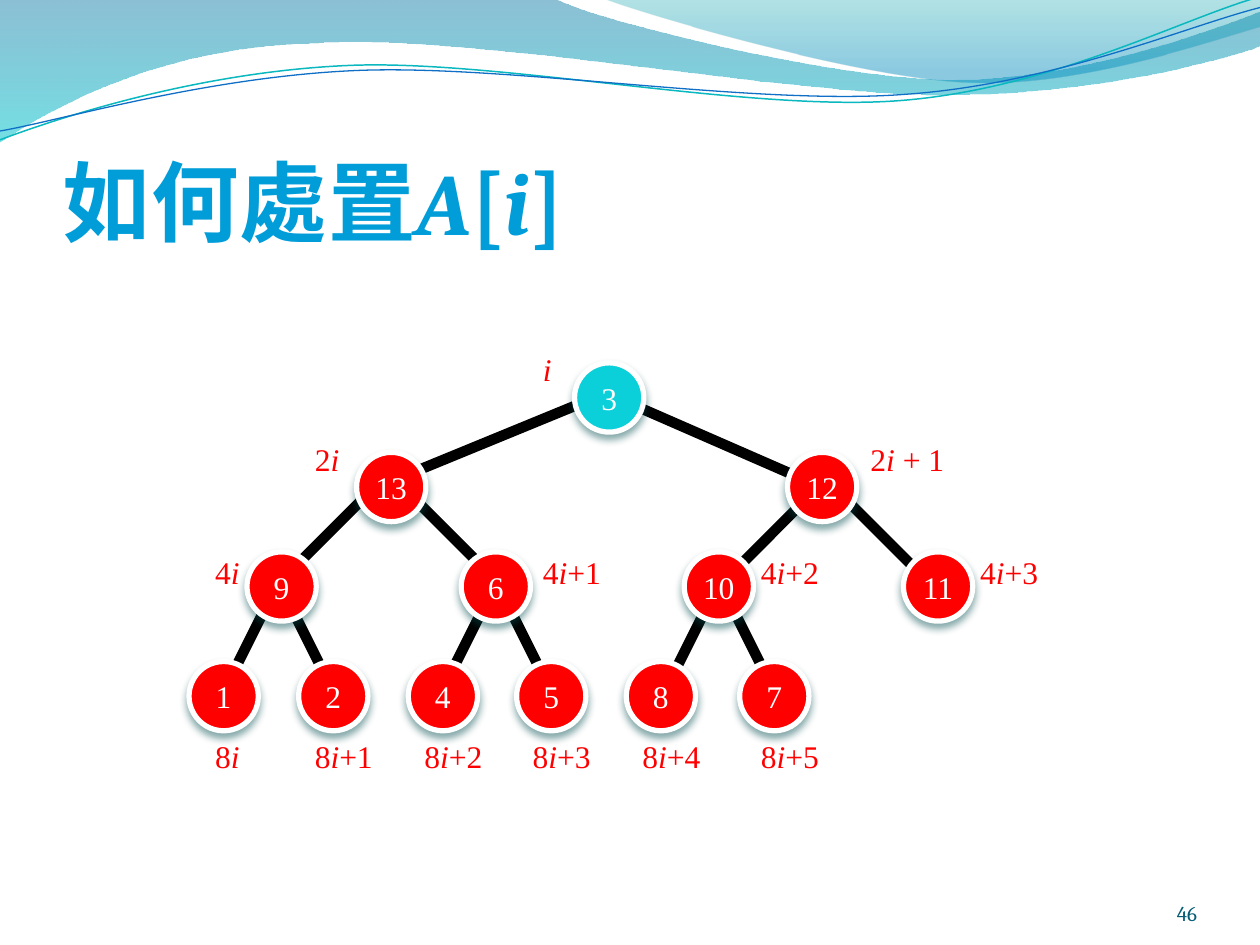
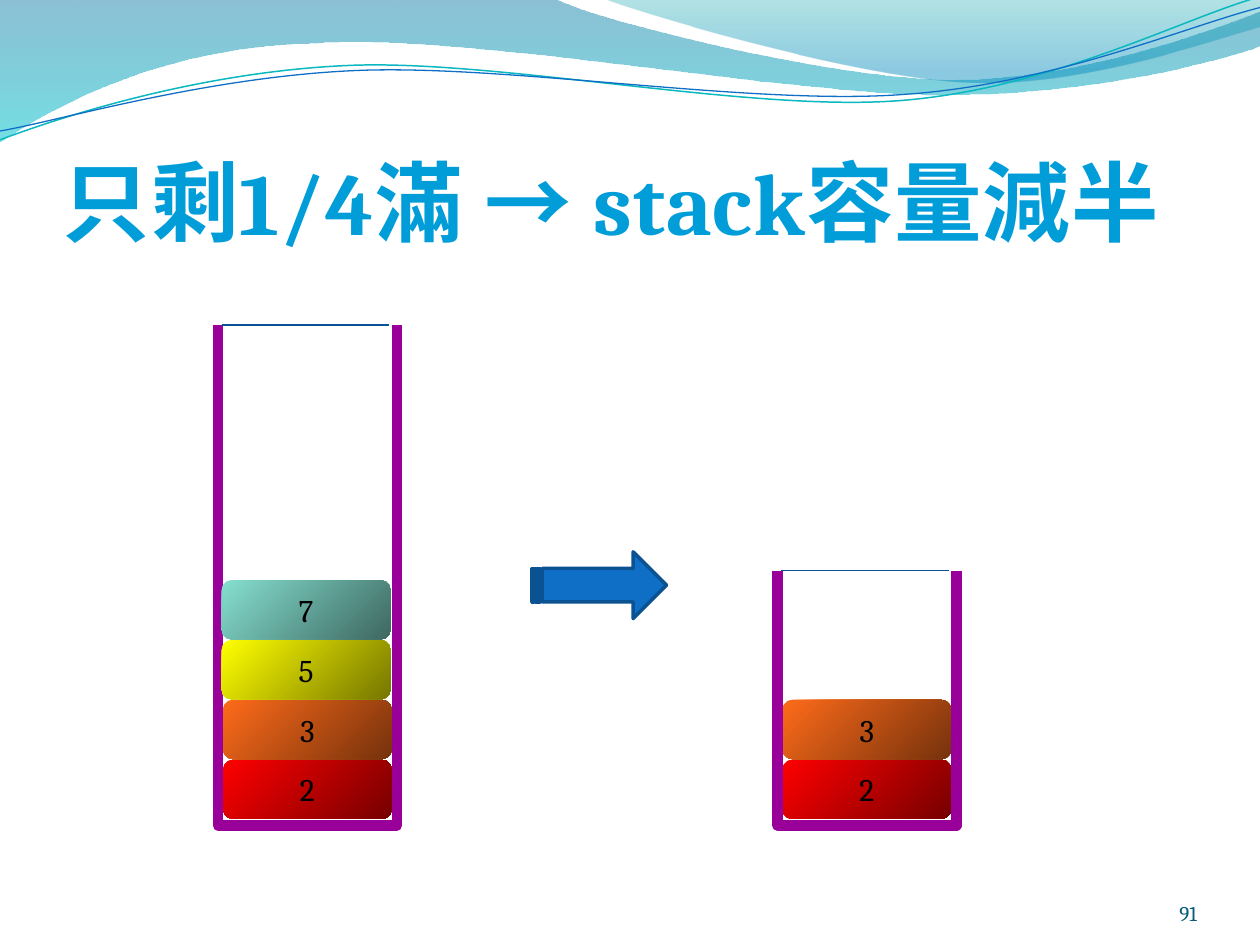
import pptx
import pptx.util
import pptx.oxml
import pptx.oxml.ns
from pptx.dml.color import RGBColor
from pptx.enum.shapes import MSO_CONNECTOR, MSO_SHAPE
from pptx.enum.text import MSO_ANCHOR, MSO_AUTO_SIZE, PP_ALIGN
from pptx.oxml.ns import qn
from pptx.util import Inches

# Shared look
BODY_FONT = "Cambria"
TREE_FONT = "Times New Roman"
TITLE_BLUE = RGBColor(0x00, 0x9D, 0xD9)
FOOTER_TEAL = RGBColor(0x04, 0x5D, 0x75)
WAVE_TEAL = RGBColor(0x0A, 0xB8, 0xBF)
BLUE = RGBColor(0x0F, 0x6F, 0xC6)
ARROW_EDGE = RGBColor(0x0B, 0x52, 0x92)
RIM_BLUE = RGBColor(0x09, 0x52, 0x95)
SHADOW_TEAL = RGBColor(0x02, 0x4B, 0x4E)
BLACK = RGBColor(0, 0, 0)
WHITE = RGBColor(0xFF, 0xFF, 0xFF)
RED = RGBColor(0xFF, 0, 0)
CYAN = RGBColor(0x0B, 0xD0, 0xD9)
PURPLE = RGBColor(0x99, 0x00, 0x99)

# Gradient stops: position, colour, opacity in percent
BAND_STOPS = [(0, RGBColor(0x00, 0x74, 0xA1), 45), (1, RGBColor(0x00, 0xC6, 0xCF), 55)]
CORNER_STOPS = [(0, RGBColor(0x00, 0xA1, 0xA9), 30), (0.8, RGBColor(0x00, 0x8B, 0xBF), 45)]

# Outlines: a start point, then line ends (2 numbers) or Bezier curves (6 numbers)
BAND = [(0, 0), (4.4, -0.01),
        (4.76, 0.17, 6.64, 0.63, 7.58, 0.63), (8.53, 0.63, 9.58, 0.26, 10, 0.09),
        (10.01, 0.36),
        (9.83, 0.44, 8.7, 0.76, 7.46, 0.75), (6.22, 0.75, 3.82, 0.28, 2.57, 0.34),
        (1.29, 0.36, 0.46, 0.83, -0.01, 1.13)]
CORNER = [(4.79, -0.01), (5.09, 0.11, 6.82, 0.62, 7.69, 0.65),
          (8.56, 0.69, 9.61, 0.32, 10, 0.21), (10, 0)]
TEAL_WAVE = [(0, 1.11), (0.48, 0.93, 1.58, 0.57, 2.77, 0.52),
             (3.95, 0.47, 5.93, 0.89, 7.13, 0.8), (8.33, 0.71, 9.38, 0.15, 9.98, -0.02)]
BLUE_WAVE = [(0, 1.04), (0.47, 0.96, 1.64, 0.61, 2.83, 0.56),
             (4.03, 0.51, 5.97, 0.84, 7.17, 0.75), (8.36, 0.67, 9.41, 0.21, 10, 0.06)]

# Tree: per level the node top, label top, and (value, node left, label, label left)
NODE_SIZE = 0.55
LEVELS = [
    (2.88, 2.73, [("3", 4.56, "i", 4.21)]),
    (3.59, 3.44, [("13", 2.83, "2i", 2.4), ("12", 6.25, "2i + 1", 6.81)]),
    (4.38, 4.34, [("9", 1.96, "4i", 1.61), ("6", 3.66, "4i+1", 4.21),
                  ("10", 5.43, "4i+2", 5.94), ("11", 7.17, "4i+3", 7.68)]),
    (5.25, 5.8, [("1", 1.5, "8i", 1.61), ("2", 2.37, "8i+1", 2.4),
                 ("4", 3.24, "8i+2", 3.27), ("5", 4.1, "8i+3", 4.13),
                 ("8", 4.97, "8i+4", 5), ("7", 5.87, "8i+5", 5.94)]),
]
LABEL_WIDTHS = {1: 0.27, 2: 0.4, 4: 0.67, 6: 0.79}
# Edges: start x, start y, run, drop
EDGES = [(x, 4.62, run, 0.94) for x in (2.21, 3.94, 5.71) for run in (-0.47, 0.47)]
EDGES += [(3.01, 3.83, -0.79, 0.79), (3.16, 3.83, 0.79, 0.79),
          (6.49, 3.87, -0.79, 0.79), (6.62, 3.87, 0.79, 0.79),
          (4.81, 3.12, -1.73, 0.71), (4.81, 3.12, 1.81, 0.79)]

# Stack items from the bottom up: value, light colour, dark colour
ITEMS = [("2", RED, RGBColor(0x76, 0, 0)),
         ("3", RGBColor(0xFE, 0x6B, 0x1A), RGBColor(0x76, 0x32, 0x0C)),
         ("5", RGBColor(0xFF, 0xFF, 0), RGBColor(0x76, 0x76, 0)),
         ("7", RGBColor(0x85, 0xDF, 0xD0), RGBColor(0x3E, 0x68, 0x61))]
ITEM_WIDTH, ITEM_HEIGHT = 1.34, 0.47
JAR_WIDTH, JAR_BOTTOM = 1.42, 6.55


def xml(tag, attributes="", content=""):
    return pptx.oxml.parse_xml(
        f'<a:{tag} {pptx.oxml.ns.nsdecls("a")} {attributes}>{content}</a:{tag}>')


def freeform(s, outline, close=False):
    """Draw an outline; its curves are built from triples of line segments."""
    points = [(Inches(step[n]), Inches(step[n + 1]))
              for step in outline for n in range(0, len(step), 2)]
    fb = s.shapes.build_freeform(*points[0])
    fb.add_line_segments(points[1:], close=close)
    sp = fb.convert_to_shape()
    sp.shadow.inherit = False
    segments = iter(list(sp.element.spPr.iter(qn("a:lnTo"))))
    for step in outline[1:]:
        parts = [next(segments) for _ in range(len(step) // 2)]
        if len(parts) == 3:
            curve = xml("cubicBezTo")
            parts[0].addprevious(curve)
            for part in parts:
                curve.append(part[0])
                part.getparent().remove(part)
    return sp


def stroke(s, outline, color, width):
    sp = freeform(s, outline)
    sp.fill.background()
    sp.line.color.rgb = color
    sp.line.width = pptx.util.Pt(width)


def gradient(sp, stops, angle):
    """Fill with a two-stop gradient; the angle runs clockwise."""
    sp.fill.gradient()
    sp.fill.gradient_angle = 360 - angle
    for stop, (position, color, _) in zip(sp.fill.gradient_stops, stops):
        stop.position = position
        stop.color.rgb = color
    colors = list(sp.element.spPr.iter(qn("a:srgbClr")))
    for color, (_, _, opacity) in zip(colors, stops):
        if opacity < 100:
            color.append(xml("alpha", f'val="{opacity * 1000}"'))


def band(s, outline, stops):
    sp = freeform(s, outline, close=True)
    gradient(sp, stops, 90)
    sp.line.fill.background()


def connector(s, x1, y1, x2, y2, color, width):
    cx = s.shapes.add_connector(MSO_CONNECTOR.STRAIGHT, Inches(x1), Inches(y1),
                                Inches(x2), Inches(y2))
    cx.line.color.rgb = color
    cx.line.width = pptx.util.Pt(width)
    cx.element.spPr.append(xml("effectLst"))


def style(r, size, font, color):
    r.font.size = pptx.util.Pt(size)
    r.font.name = font
    r.font.color.rgb = color


def write(p, text, size, font, color):
    p.text = text
    style(p.runs[0], size, font, color)


def write_math(p, pieces, size, font, color):
    """Write runs, with the index i and the array name A in italics."""
    for piece in filter(None, pieces):
        r = p.add_run()
        r.text = piece
        style(r, size, font, color)
        r.font.italic = piece in ("i", "A")


def text_box(s, x, y, w, h, margins=None, anchor=MSO_ANCHOR.TOP):
    tf = s.shapes.add_textbox(Inches(x), Inches(y), Inches(w), Inches(h)).text_frame
    tf.word_wrap = True
    tf.vertical_anchor = anchor
    if margins:
        (tf.margin_left, tf.margin_top,
         tf.margin_right, tf.margin_bottom) = [Inches(m) for m in margins]
    return tf


def themed_slide(prs, title, number):
    """Add a slide with the wave header, title and page number."""
    s = prs.slides.add_slide(prs.slide_layouts[6])
    band(s, BAND, BAND_STOPS)
    band(s, CORNER, CORNER_STOPS)
    stroke(s, TEAL_WAVE, WAVE_TEAL, 0.85)
    stroke(s, BLUE_WAVE, BLUE, 0.75)

    tf = text_box(s, 0.5, 0.76, 9, 1.25, (0, 0.05, 0, 0), MSO_ANCHOR.BOTTOM)
    p = tf.paragraphs[0]
    write_math(p, title, 50, BODY_FONT, TITLE_BLUE)
    for r in p.runs:
        r.font.bold = True
        r.font._element.set("spc", "50")

    tf = text_box(s, 8.67, 6.95, 0.83, 0.4, (0, 0, 0, 0), MSO_ANCHOR.BOTTOM)
    p = tf.paragraphs[0]
    write(p, number, 12, BODY_FONT, FOOTER_TEAL)
    p.alignment = PP_ALIGN.RIGHT
    return s


def shape(s, kind, x, y, w, h):
    sp = s.shapes.add_shape(kind, Inches(x), Inches(y), Inches(w), Inches(h))
    sp.shadow.inherit = False
    return sp


def solid(sp, fill, edge, width):
    sp.fill.solid()
    sp.fill.fore_color.rgb = fill
    sp.line.color.rgb = edge
    sp.line.width = pptx.util.Pt(width)


def drop_shadow(sp):
    color = f'<a:srgbClr val="{SHADOW_TEAL}"><a:alpha val="48000"/></a:srgbClr>'
    blur, distance = pptx.util.Pt(4.5), pptx.util.Pt(3)
    sp.element.spPr.find(qn("a:effectLst")).append(
        xml("outerShdw", f'blurRad="{blur}" dist="{distance}" dir="5400000" '
            'rotWithShape="0"', color))


def centre_text(sp, text, font, color):
    tf = sp.text_frame
    tf.word_wrap = False
    tf.vertical_anchor = MSO_ANCHOR.MIDDLE
    p = tf.paragraphs[0]
    write(p, text, 18, font, color)
    p.alignment = PP_ALIGN.CENTER


def node(s, x, y, value, color):
    sp = shape(s, MSO_SHAPE.OVAL, x, y, NODE_SIZE, NODE_SIZE)
    solid(sp, color, WHITE, 3)
    drop_shadow(sp)
    centre_text(sp, value, TREE_FONT, WHITE)


def index_label(s, x, y, text):
    tf = text_box(s, x, y, LABEL_WIDTHS[len(text)], 0.4)
    tf.word_wrap = False
    tf.auto_size = MSO_AUTO_SIZE.SHAPE_TO_FIT_TEXT
    write_math(tf.paragraphs[0], text.partition("i"), 18, TREE_FONT, RED)


def stack_item(s, x, level):
    value, light, dark = ITEMS[level]
    y = JAR_BOTTOM - 0.52 - level * 0.475
    sp = shape(s, MSO_SHAPE.ROUNDED_RECTANGLE, x, y, ITEM_WIDTH, ITEM_HEIGHT)
    gradient(sp, [(0, light, 100), (1, dark, 100)], 45)
    sp.line.fill.background()
    centre_text(sp, value, BODY_FONT, BLACK)


def stack(s, x, top, count):
    """Draw a jar whose wall stands in front of its two lowest items."""
    for level in range(2):
        stack_item(s, x + 0.04, level)
    right = x + JAR_WIDTH
    stroke(s, [(x, top), (x, JAR_BOTTOM), (right, JAR_BOTTOM), (right, top)], PURPLE, 6)
    connector(s, x + 0.03, top, x + 1.36, top, RIM_BLUE, 0.75)
    for level in range(2, count):
        stack_item(s, x + 0.03, level)


def tree_slide(prs):
    s = themed_slide(prs, ["如何處置", "A", "[", "i", "]"], "46")
    for x, y, run, drop in EDGES:
        connector(s, x, y, x + run, y + drop, BLACK, 6)
    for depth, (node_top, label_top, entries) in enumerate(LEVELS):
        for value, node_left, label, label_left in entries:
            node(s, node_left, node_top, value, RED if depth else CYAN)
            index_label(s, label_left, label_top, label)


def stack_slide(prs):
    s = themed_slide(prs, ["只剩1/4滿 → stack容量減半"], "91")
    stack(s, 1.73, 2.58, 4)
    stack(s, 6.17, 4.53, 2)
    arrow = shape(s, MSO_SHAPE.STRIPED_RIGHT_ARROW, 4.22, 4.38, 1.07, 0.53)
    solid(arrow, BLUE, ARROW_EDGE, 2)


def main():
    prs = pptx.Presentation()
    prs.slide_width, prs.slide_height = Inches(10), Inches(7.5)
    tree_slide(prs)
    stack_slide(prs)
    prs.save("out.pptx")


if __name__ == "__main__":
    main()
